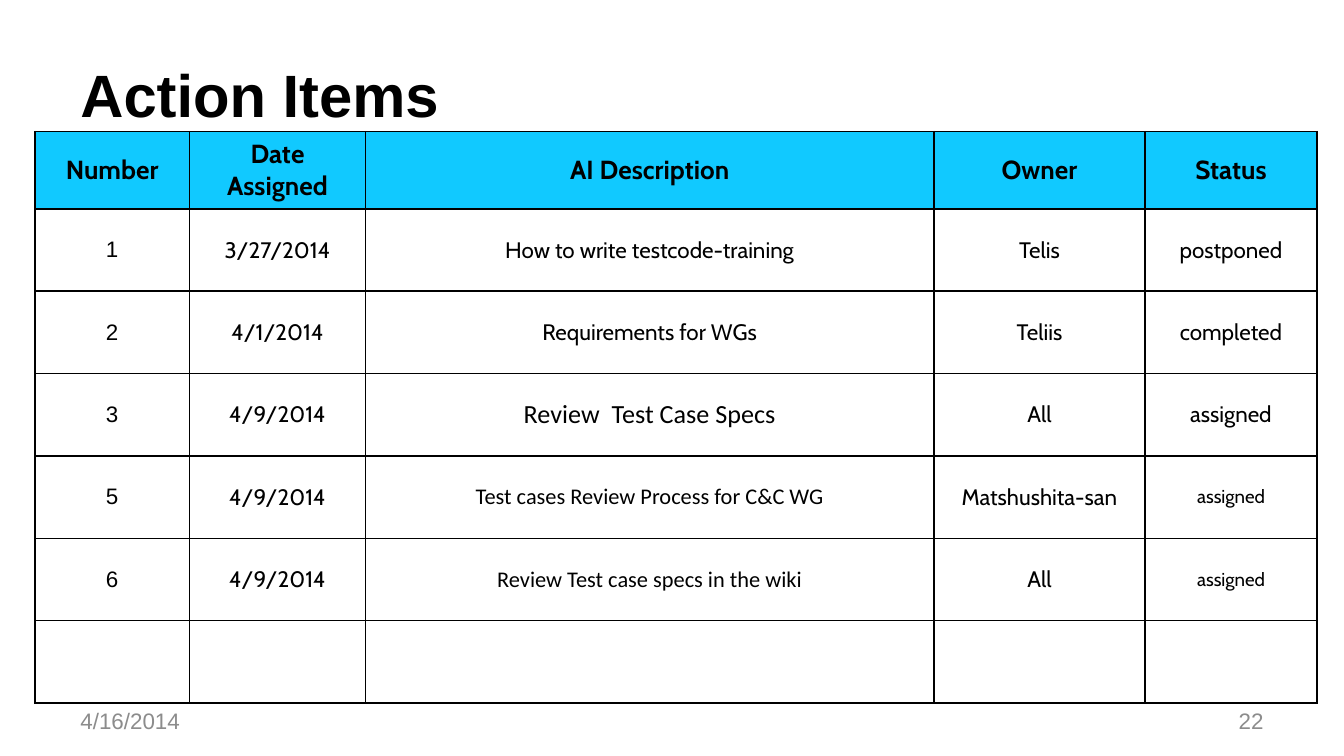
"""Build the Action Items slide: a title, a bordered table, a date and a page number."""
from lxml import etree
from pptx import Presentation
from pptx.dml.color import RGBColor
from pptx.enum.text import MSO_ANCHOR, PP_ALIGN
from pptx.oxml.ns import qn
from pptx.util import Inches, Pt

LEFT, CENTER, RIGHT = PP_ALIGN.LEFT, PP_ALIGN.CENTER, PP_ALIGN.RIGHT
MIDDLE = MSO_ANCHOR.MIDDLE
BLACK = RGBColor(0x00, 0x00, 0x00)
GRAY = RGBColor(0x8C, 0x8C, 0x8C)
CYAN = RGBColor(0x11, 0xC9, 0xFF)

WIDTH = 10
HEIGHT = WIDTH * 9 / 16
MARGIN, FOOTER_TOP, FOOTER_WIDTH, FOOTER_HEIGHT = 0.5, 5.21, 2.33, 0.3
TABLE_LEFT, TABLE_TOP, TABLE_HEIGHT, HEADER_HEIGHT = 0.26, 0.98, 4.25, 0.57
COLUMN_WIDTHS = (1.15, 1.31, 4.23, 1.57, 1.28)
COLUMN_FONTS = ("Arial", "Cabin", "Cabin", "Cabin", "Cabin")

ROWS = [
    ("Number", "Date Assigned", "AI Description", "Owner", "Status"),
    ("1", "3/27/2014", "How to write testcode-training", "Telis", "postponed"),
    ("2", "4/1/2014", "Requirements for WGs", "Teliis", "completed"),
    ("3", "4/9/2014", "Review  Test Case Specs", "All", "assigned"),
    ("5", "4/9/2014", "Test cases Review Process for C&C WG", "Matshushita-san", "assigned"),
    ("6", "4/9/2014", "Review Test case specs in the wiki", "All", "assigned"),
    ("", "", "", "", ""),
]
HEADER_FORMAT = {"name": "Cabin", "size": Pt(14), "bold": True}
SPECIAL_FORMATS = {
    (3, 2): {"name": "Calibri", "size": Pt(14)},
    (4, 2): {"name": "Calibri"},
    (4, 4): {"size": Pt(10)},
    (5, 2): {"name": "Calibri"},
    (5, 4): {"size": Pt(10)},
}
TEXTS = [
    ("Action Items", (MARGIN, 0.23, WIDTH - 2 * MARGIN, 0.94), LEFT, BLACK,
     {"size": Pt(32), "bold": True}),
    ("4/16/2014", (MARGIN, FOOTER_TOP, FOOTER_WIDTH, FOOTER_HEIGHT), LEFT, GRAY,
     {"size": Pt(12)}),
    ("22", (WIDTH - MARGIN - FOOTER_WIDTH, FOOTER_TOP, FOOTER_WIDTH, FOOTER_HEIGHT),
     RIGHT, GRAY, {"size": Pt(12)}),
]


def write(tf, text, align, color, fmt):
    p = tf.paragraphs[0]
    p.alignment = align
    if not text:
        return
    r = p.add_run()
    r.text = text
    r.font.color.rgb = color
    for key, value in fmt.items():
        setattr(r.font, key, value)


def add_borders(cell):
    tc_pr = cell._tc.get_or_add_tcPr()
    for i, side in enumerate(("a:lnL", "a:lnR", "a:lnT", "a:lnB")):
        line = etree.Element(qn(side), w=str(Pt(1)))
        fill = etree.SubElement(line, qn("a:solidFill"))
        etree.SubElement(fill, qn("a:srgbClr"), val=str(BLACK))
        tc_pr.insert(i, line)


def add_action_table(s):
    frame = s.shapes.add_table(
        len(ROWS), len(COLUMN_WIDTHS), Inches(TABLE_LEFT), Inches(TABLE_TOP),
        Inches(sum(COLUMN_WIDTHS)), Inches(TABLE_HEIGHT))
    table = frame.table
    table.horz_banding = False
    for column, width in zip(table.columns, COLUMN_WIDTHS):
        column.width = Inches(width)
    body_height = (TABLE_HEIGHT - HEADER_HEIGHT) / (len(ROWS) - 1)
    for i, row in enumerate(ROWS):
        table.rows[i].height = Inches(body_height if i else HEADER_HEIGHT)
        for j, text in enumerate(row):
            cell = table.cell(i, j)
            cell.vertical_anchor = MIDDLE
            cell.margin_left = cell.margin_right = Inches(0.13)
            cell.margin_top = cell.margin_bottom = Inches(0.05)
            if i:
                cell.fill.background()
                fmt = {"name": COLUMN_FONTS[j], "size": Pt(12), "bold": False}
                fmt.update(SPECIAL_FORMATS.get((i, j), {}))
            else:
                cell.fill.solid()
                cell.fill.fore_color.rgb = CYAN
                fmt = HEADER_FORMAT
            write(cell.text_frame, text, CENTER, BLACK, fmt)
            add_borders(cell)


def main():
    prs = Presentation()
    prs.slide_width, prs.slide_height = Inches(WIDTH), Inches(HEIGHT)
    s = prs.slides.add_slide(prs.slide_layouts[6])
    add_action_table(s)
    for text, box, align, color, fmt in TEXTS:
        tf = s.shapes.add_textbox(*map(Inches, box)).text_frame
        tf.word_wrap = True
        tf.vertical_anchor = MIDDLE
        write(tf, text, align, color, {"name": "Arial", **fmt})
    prs.save("out.pptx")


if __name__ == "__main__":
    main()
